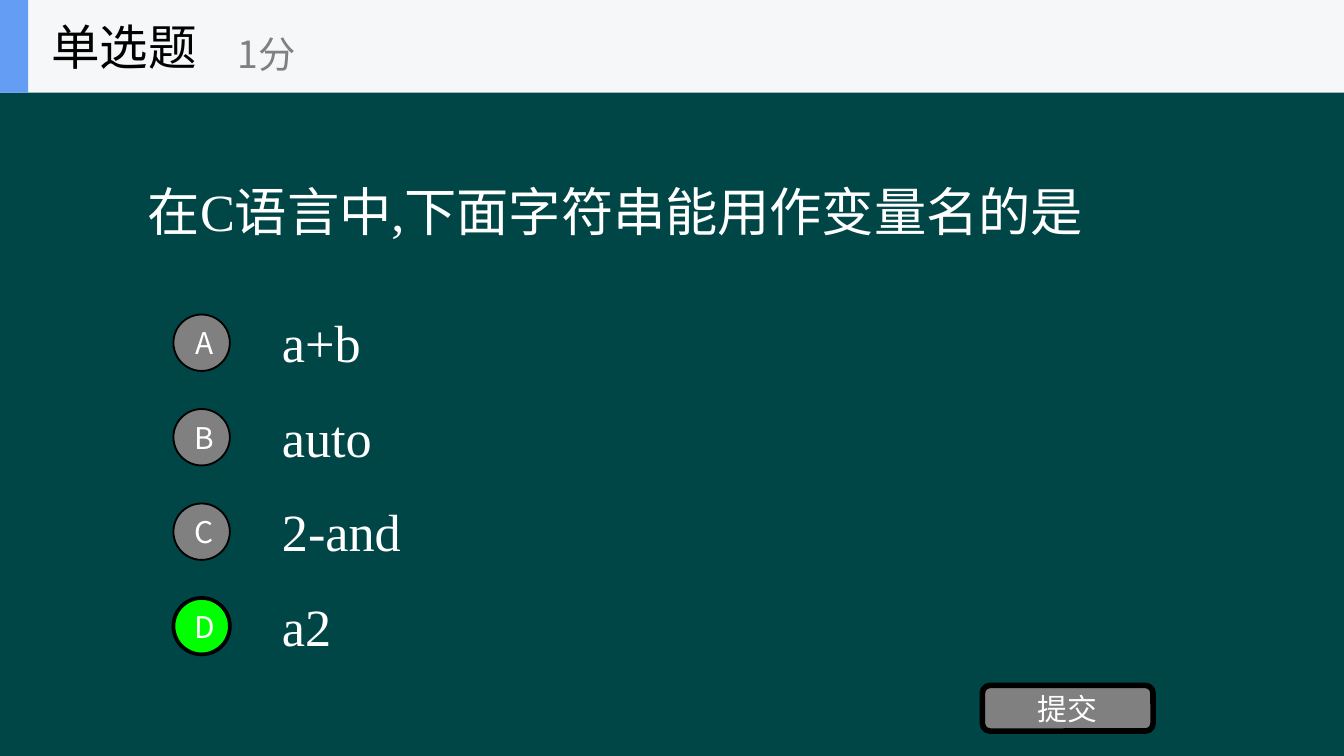
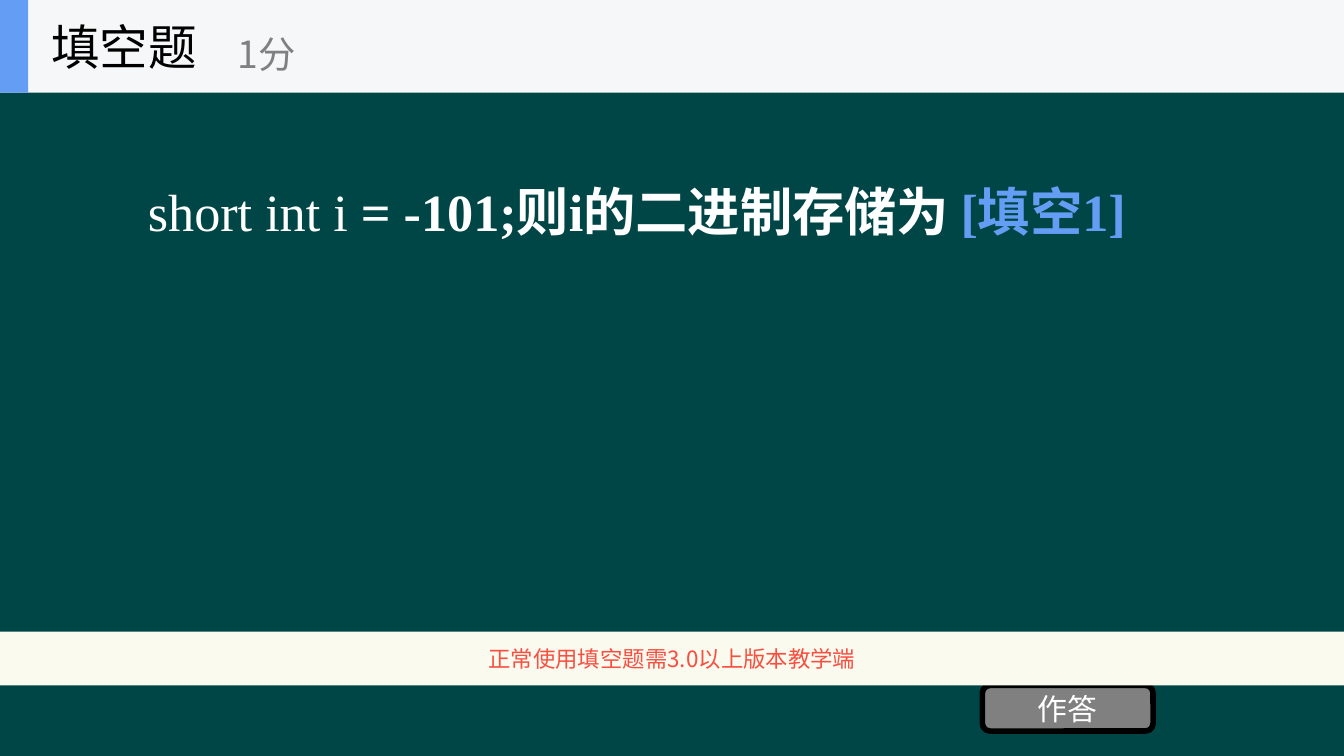
from lxml import etree
from pptx import Presentation
from pptx.dml.color import RGBColor
from pptx.enum import shapes, text
from pptx.oxml import ns
from pptx.util import Inches, Pt

COLORS = {
    "board": "004646", "white": "FFFFFF", "black": "000000", "gray": "808080",
    "correct": "00FF00", "header": "F6F7F8", "accent": "639EF4",
    "notice": "FBFAEF", "warning": "F84F41",
}
SANS = "Noto Sans CJK SC"
SERIF = "Times New Roman"
SLIDE_WIDTH = 10
SLIDE_HEIGHT = SLIDE_WIDTH * 9 / 16
HEADER_HEIGHT = 0.69
OPTION_TOP, OPTION_STEP = 2.28, SLIDE_HEIGHT / 8


def color(name):
    """Return the named colour."""
    return RGBColor.from_string(COLORS[name])


def add_run(paragraph, content, size, font, color_name, bold=False):
    """Add one formatted run, with Chinese characters set in the sans font."""
    run = paragraph.add_run()
    run.text = content
    run.font.size = Pt(size)
    run.font.name = font
    run.font.bold = bold
    run.font.color.rgb = color(color_name)
    east_asian = etree.Element(ns.qn("a:ea"), typeface=SANS)
    run._r.rPr.find(ns.qn("a:latin")).addnext(east_asian)


def format_frame(shape, align=text.PP_ALIGN.LEFT):
    """Centre the text vertically, wrap it and return its first paragraph."""
    frame = shape.text_frame
    frame.auto_size = text.MSO_AUTO_SIZE.NONE
    frame.word_wrap = True
    frame.vertical_anchor = text.MSO_ANCHOR.MIDDLE
    paragraph = frame.paragraphs[0]
    paragraph.alignment = align
    return paragraph


def place(shape, left, top, width, height):
    """Move and size a placeholder."""
    shape.left, shape.top = Inches(left), Inches(top)
    shape.width, shape.height = Inches(width), Inches(height)


def add_text(container, box, content, size, font, color_name):
    """Add a left-aligned text box."""
    shape = container.add_textbox(*map(Inches, box))
    add_run(format_frame(shape), content, size, font, color_name)


def add_box(container, kind, box, fill, line_width=0):
    """Add a filled shape, with a black outline if a width is given."""
    shape = container.add_shape(kind, *map(Inches, box))
    shape.shadow.inherit = False
    shape.fill.solid()
    shape.fill.fore_color.rgb = color(fill)
    if line_width:
        shape.line.color.rgb = color("black")
        shape.line.width = Pt(line_width)
    else:
        shape.line.fill.background()
    return shape


def add_label(shape, content, size, color_name, left_inset=0):
    """Write a centred label in a shape."""
    paragraph = format_frame(shape, text.PP_ALIGN.CENTER)
    frame = shape.text_frame
    frame.margin_left = Inches(left_inset)
    frame.margin_right = frame.margin_top = frame.margin_bottom = 0
    add_run(paragraph, content, size, SANS, color_name)


def add_question(slide, runs):
    """Fill the body placeholder with the question, given as runs."""
    body = slide.placeholders[1]
    place(body, 1, HEADER_HEIGHT, 8, 1.76)
    paragraph = format_frame(body)
    paragraph.space_before = Pt(0)
    properties = paragraph._p.get_or_add_pPr()
    properties.set("marL", "0")
    properties.set("indent", "0")
    etree.SubElement(properties, ns.qn("a:buNone"))
    for content, color_name, bold in runs:
        add_run(paragraph, content, 28, SERIF, color_name, bold)


def add_option(slide, index, letter, content, correct):
    """Add one answer with its lettered circle."""
    top = OPTION_TOP + index * OPTION_STEP
    add_text(slide.shapes, (2, top, 7, 0.53), content, 28, SERIF, "white")
    circle = add_box(slide.shapes, shapes.MSO_SHAPE.OVAL,
                     (1.29, top + 0.06, 0.42, 0.42),
                     "correct" if correct else "gray", 2 if correct else 1)
    add_label(circle, letter, 16, "white", 0.04)


def add_button(slide, content):
    """Add the button at the bottom right."""
    button = add_box(slide.shapes, shapes.MSO_SHAPE.ROUNDED_RECTANGLE,
                     (7.31, 5.1, 1.27, 0.34), "gray", 3)
    add_label(button, content, 16, "white")


def add_notice(slide, content):
    """Add the full-width notice band."""
    band = add_box(slide.shapes, shapes.MSO_SHAPE.RECTANGLE,
                   (0, 4.7, SLIDE_WIDTH, 0.4), "notice")
    add_label(band, content, 12, "warning")


def add_header(slide, title, score):
    """Add the header band and score, and bring the title in front of it."""
    group = slide.shapes.add_group_shape().shapes
    for width, fill in ((SLIDE_WIDTH, "header"), (0.21, "accent")):
        add_box(group, shapes.MSO_SHAPE.RECTANGLE,
                (0, 0, width, HEADER_HEIGHT), fill)
    add_text(group, (1.67, 0.12, 2.5, 0.56), score, 20, SANS, "gray")
    heading = slide.shapes.title
    place(heading, 0.28, 0, 2.08, HEADER_HEIGHT)
    add_run(format_frame(heading), title, 26, SANS, "black")
    heading.element.getparent().append(heading.element)


def new_slide(presentation):
    """Add a title-and-content slide on the board colour."""
    slide = presentation.slides.add_slide(presentation.slide_layouts[1])
    slide.background.fill.solid()
    slide.background.fill.fore_color.rgb = color("board")
    return slide


def build_choice(presentation):
    """Build the single-choice question."""
    slide = new_slide(presentation)
    add_question(slide, [("在C语言中,下面字符串能用作变量名的是", "white", False)])
    answers = ("a+b", "auto", "2-and", "a2")
    for index, (letter, answer) in enumerate(zip("ABCD", answers)):
        add_option(slide, index, letter, answer, letter == "D")
    add_button(slide, "提交")
    add_header(slide, "单选题", "1分")


def build_blank(presentation):
    """Build the fill-in question."""
    slide = new_slide(presentation)
    add_question(slide, [
        ("short int i ", "white", False),
        ("= -101;则i的二进制存储为 ", "white", True),
        ("[填空1] ", "accent", True),
    ])
    add_button(slide, "作答")
    add_notice(slide, "正常使用填空题需3.0以上版本教学端")
    add_header(slide, "填空题", "1分")


def main():
    """Build and save the presentation."""
    presentation = Presentation()
    presentation.slide_width = Inches(SLIDE_WIDTH)
    presentation.slide_height = Inches(SLIDE_HEIGHT)
    build_choice(presentation)
    build_blank(presentation)
    presentation.save("out.pptx")


main()
